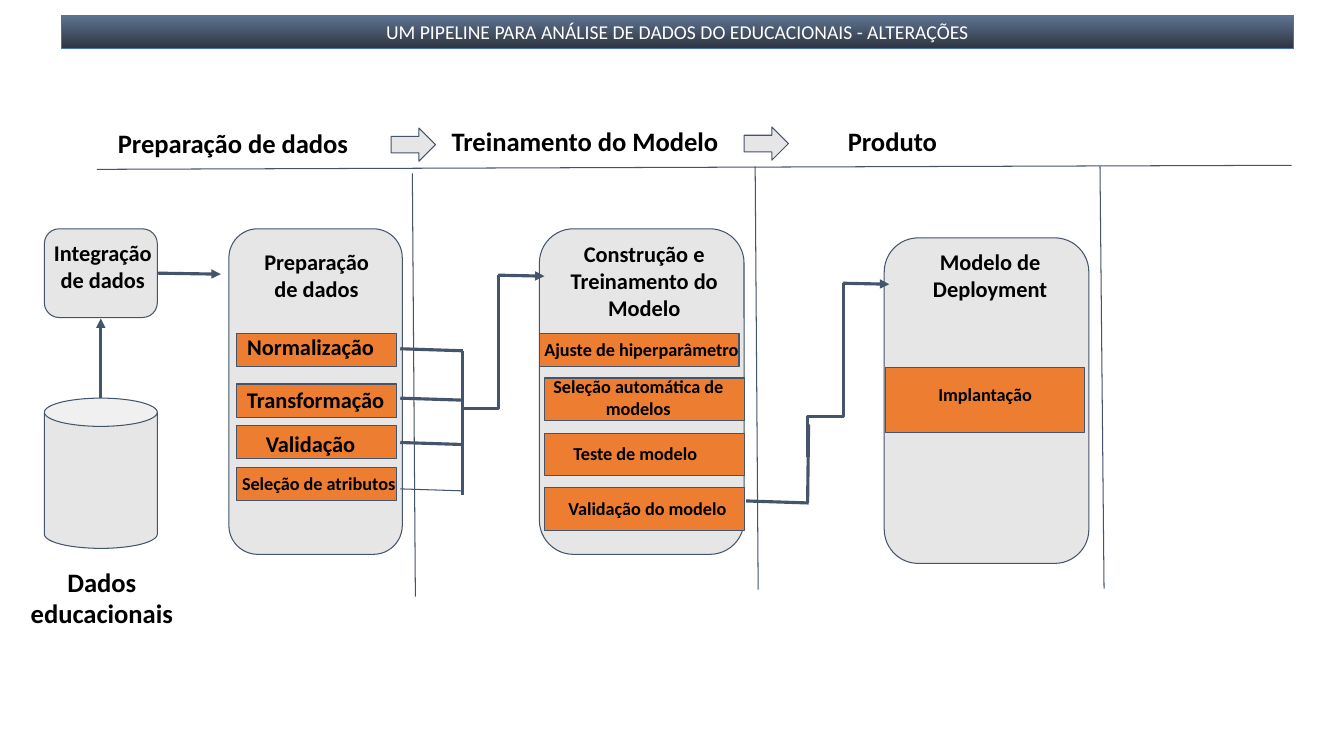
from lxml import etree
from pptx import Presentation
from pptx.dml.color import RGBColor
from pptx.enum.shapes import MSO_CONNECTOR, MSO_SHAPE
from pptx.enum.text import MSO_ANCHOR, PP_ALIGN
from pptx.oxml.ns import qn
from pptx.util import Inches, Pt

RECTANGLE = MSO_SHAPE.RECTANGLE
ROUNDED = MSO_SHAPE.ROUNDED_RECTANGLE
CAN = MSO_SHAPE.CAN
RIGHT_ARROW = MSO_SHAPE.RIGHT_ARROW
STRAIGHT = MSO_CONNECTOR.STRAIGHT
ELBOW = MSO_CONNECTOR.ELBOW
LEFT, CENTER = PP_ALIGN.LEFT, PP_ALIGN.CENTER
TOP, MIDDLE = MSO_ANCHOR.TOP, MSO_ANCHOR.MIDDLE

WHITE = RGBColor(0xFF, 0xFF, 0xFF)
BLACK = RGBColor(0, 0, 0)
GRAY = RGBColor(0xE7, 0xE6, 0xE6)
SLATE = RGBColor(0x44, 0x54, 0x6A)
ORANGE = RGBColor(0xED, 0x7D, 0x31)
BLUE = RGBColor(0x44, 0x72, 0xC4)
BANNER_COLORS = (RGBColor(0x5E, 0x74, 0x92), RGBColor(0x2F, 0x35, 0x3F))

THIN, THICK = 0.75, 2.25
HEADING, TITLE, STEP = 19, 16, 13


def set_values(target, values):
    for name, value in values.items():
        setattr(target, name, value)


class PipelineSlide:
    font_name = "Calibri"

    def __init__(self, presentation):
        self.slide = presentation.slides.add_slide(presentation.slide_layouts[6])

    def fill_text(self, shape, text, size, color=BLACK, bold=True, align=CENTER,
                  anchor=TOP, padding=0.1):
        set_values(shape.text_frame, {
            "word_wrap": True, "vertical_anchor": anchor,
            "margin_left": Inches(0.1), "margin_right": Inches(0.1),
            "margin_top": Inches(padding), "margin_bottom": Inches(padding)})
        paragraph = shape.text_frame.paragraphs[0]
        paragraph.alignment = align
        run = paragraph.add_run()
        run.text = text
        set_values(run.font, {"name": self.font_name, "size": Pt(size), "bold": bold})
        run.font.color.rgb = color

    def text(self, box, text, size, align=CENTER):
        shape = self.slide.shapes.add_textbox(*map(Inches, box))
        self.fill_text(shape, text, size, align=align)

    def shape(self, kind, box, fill=GRAY, line=SLATE):
        shape = self.slide.shapes.add_shape(kind, *map(Inches, box))
        shape.shadow.inherit = False
        shape.fill.solid()
        shape.fill.fore_color.rgb = fill
        shape.line.color.rgb = line
        shape.line.width = Pt(THIN)
        return shape

    def banner(self, box, text):
        shape = self.shape(RECTANGLE, box, line=BLUE)
        shape.fill.gradient()
        shape.fill.gradient_angle = 270
        for stop, color in zip(shape.fill.gradient_stops, BANNER_COLORS):
            stop.color.rgb = color
        self.fill_text(shape, text, 14, WHITE, bold=False, anchor=MIDDLE, padding=0.05)

    def line(self, start, end, width=THIN, arrow=False, kind=STRAIGHT):
        connector = self.slide.shapes.add_connector(kind, *map(Inches, start + end))
        connector.line.color.rgb = SLATE
        connector.line.width = Pt(width)
        properties = connector._element.spPr
        if arrow:
            etree.SubElement(properties.find(qn("a:ln")), qn("a:tailEnd"), type="triangle")
        etree.SubElement(properties, qn("a:effectLst"))
        return connector

    def rising_elbow(self, left, top):
        """Elbow turned a quarter left, so that it leaves upwards."""
        connector = self.line((left, top), (left + 1.73, top + 0.36), THICK, kind=ELBOW)
        properties = connector._element.spPr
        properties.find(qn("a:xfrm")).set("rot", "16200000")
        geometry = properties.find(qn("a:prstGeom"))
        adjustments = geometry.find(qn("a:avLst"))
        if adjustments is None:
            adjustments = etree.SubElement(geometry, qn("a:avLst"))
        etree.SubElement(adjustments, qn("a:gd"), name="adj1", fmla="val 23100")


def main():
    presentation = Presentation()
    set_values(presentation, {"slide_width": Inches(13.33), "slide_height": Inches(7.5)})
    page = PipelineSlide(presentation)

    # Banner
    page.banner((0.61, 0.15, 12.22, 0.33),
                "UM PIPELINE PARA ANÁLISE DE DADOS DO EDUCACIONAIS - ALTERAÇÕES")

    # Phase headings, arrows between them and dividers
    for left, top, width, heading in (
            (1.07, 1.16, 2.52, "Preparação de dados"),
            (4.38, 1.14, 3.31, "Treinamento do Modelo"),
            (8.31, 1.14, 3.31, "Produto")):
        page.text((left, top, width, 0.52), heading, HEADING, LEFT)
    for left, top in ((3.88, 1.27), (7.38, 1.26)):
        page.shape(RIGHT_ARROW, (left, top, 0.44, 0.33))
    page.line((0.96, 1.68), (12.81, 1.64))
    for start, end in (((4.09, 1.72), (4.12, 5.92)),
                       ((7.49, 1.65), (7.52, 5.85)),
                       ((10.91, 1.65), (10.95, 5.84))):
        page.line(start, end)

    # Data source and stage panels
    page.shape(CAN, (0.44, 3.95, 1.12, 1.49))
    page.text((0.15, 5.51, 1.72, 0.84), "Dados educacionais", HEADING)
    for panel, title_box, title in (
            ((0.44, 2.27, 1.12, 0.88), (0.3, 2.27, 1.44, 0.74), "Integração de dados"),
            ((2.27, 2.27, 1.72, 3.23), (2.42, 2.36, 1.44, 0.74), "Preparação de dados"),
            ((5.35, 2.27, 2.03, 3.23), (5.53, 2.28, 1.72, 1.01),
             "Construção e Treinamento do Modelo"),
            ((8.77, 2.36, 2.03, 3.23), (8.96, 2.36, 1.72, 0.74), "Modelo de Deployment")):
        page.shape(ROUNDED, panel)
        page.text(title_box, title, TITLE)

    # Steps inside the panels: bar, label box, label, size
    for bar, label_box, label, size in (
            ((2.35, 3.31, 1.58, 0.33), (2.09, 3.21, 1.98, 0.47), "Normalização", TITLE),
            ((2.35, 3.81, 1.58, 0.33), (2.14, 3.73, 1.98, 0.47), "Transformação", TITLE),
            ((2.35, 4.22, 1.58, 0.33), (2.09, 4.17, 1.98, 0.47), "Validação", TITLE),
            ((2.35, 4.64, 1.58, 0.33), (2.17, 4.59, 1.98, 0.42), "Seleção de atributos", STEP),
            ((5.35, 3.31, 1.98, 0.33), (5.1, 3.26, 2.52, 0.42),
             "Ajuste de hiperparâmetro", STEP),
            ((5.4, 3.75, 1.98, 0.42), (5.07, 3.62, 2.52, 0.64),
             "Seleção automática de modelos", STEP),
            ((5.4, 4.3, 1.98, 0.42), (5.04, 4.29, 2.52, 0.42), "Teste de modelo", STEP),
            ((5.4, 4.84, 1.98, 0.42), (5.16, 4.83, 2.52, 0.42), "Validação do modelo", STEP),
            ((8.78, 3.65, 1.98, 0.64), (8.51, 3.7, 2.52, 0.42), "Implantação", STEP)):
        page.shape(RECTANGLE, bar, ORANGE)
        page.text(label_box, label, size)

    # Arrows into the stages
    for start, end in (((1, 3.95), (1, 3.16)), ((1.56, 2.71), (2.19, 2.72)),
                       ((4.94, 2.73), (5.4, 2.74)), ((8.36, 2.81), (8.82, 2.82))):
        page.line(start, end, THICK, arrow=True)

    # Links from the steps to the next stage
    for top, width in ((3.46, THICK), (3.95, THICK), (4.39, THICK), (4.85, THIN)):
        page.line((3.97, top), (4.59, top + 0.02), width)
    for start, end in (((4.59, 3.48), (4.59, 4.91)), ((7.4, 4.97), (8.02, 4.99)),
                       ((8.02, 4.21), (8.01, 4.99))):
        page.line(start, end, THICK)
    for left, top in ((3.9, 3.41), (7.32, 3.49)):
        page.rising_elbow(left, top)

    presentation.save("out.pptx")


if __name__ == "__main__":
    main()
